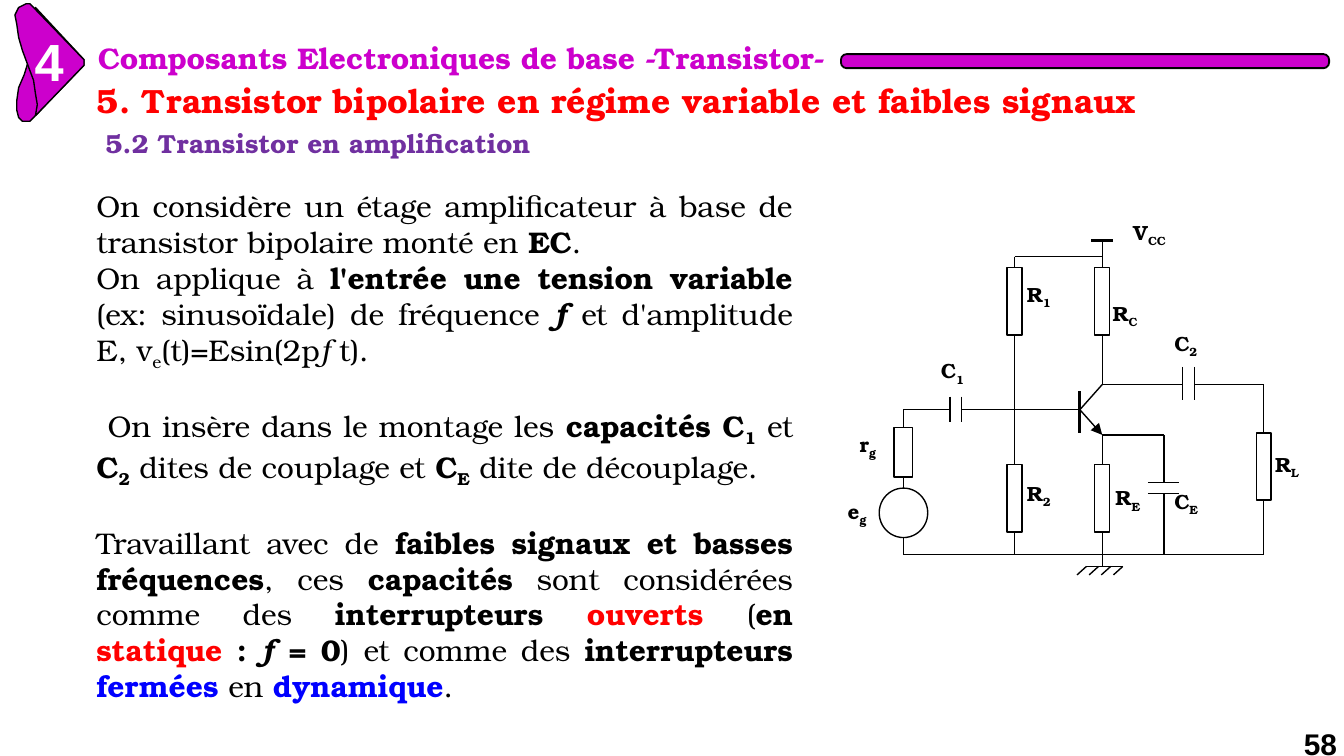
from lxml import etree
from pptx import Presentation
from pptx.dml.color import RGBColor
from pptx.enum.shapes import MSO_CONNECTOR, MSO_SHAPE
from pptx.enum.text import MSO_ANCHOR, PP_ALIGN
from pptx.oxml.ns import qn
from pptx.util import Pt

LINE = MSO_CONNECTOR.STRAIGHT
RECT, OVAL, ROUND = MSO_SHAPE.RECTANGLE, MSO_SHAPE.OVAL, MSO_SHAPE.ROUNDED_RECTANGLE
TOP = MSO_ANCHOR.TOP
LEFT, JUST = PP_ALIGN.LEFT, PP_ALIGN.JUSTIFY
SERIF, SANS = "TeX Gyre Bonum", "Arial"
PINK, BLACK, WHITE = "CC00CC", "000000", "FFFFFF"
TINTS = {"r": "FF0000", "u": "0000FF"}
rgb = RGBColor.from_string

prs = Presentation()
prs.slide_width, prs.slide_height = Pt(720), Pt(405)
slide = prs.slides.add_slide(prs.slide_layouts[6])
shapes = slide.shapes


def add_runs(par, runs, size):
    """Style letters: b bold, i italic, s subscript, r red, u blue."""
    for text, style in runs:
        run = par.add_run()
        run.text = text
        font = run.font
        font.name, font.size = SERIF, Pt(size)
        font.bold, font.italic = "b" in style, "i" in style
        tint = next((TINTS[key] for key in style if key in TINTS), BLACK)
        font.color.rgb = rgb(tint)
        if "s" in style:
            run._r.get_or_add_rPr().set("baseline", "-25000")


def paint(shape, fill, line, width=0.75):
    shape.shadow.inherit = False
    shape.fill.solid()
    shape.fill.fore_color.rgb = rgb(fill)
    shape.line.color.rgb = rgb(line)
    shape.line.width = Pt(width)


# Chapter badge: back lobe, then front lobe
tip = [(44.6, 35.3), (45.4, 33.4), (44.6, 31.7)]
back = [(18.7, 4.3), (20.2, 7.2), (20.2, 13), (18.7, 20.2), (16.6, 27.4),
        (13, 39.6), (10.1, 46.8), (8.6, 54), (8.6, 59), (10.1, 63.4),
        (12.2, 64.8), (15.8, 64.8), (18, 63.4)]
front = [(15.8, 2.2), (13.7, 2.2), (10.1, 3.6), (7.9, 7.9), (8.6, 13),
         (10.1, 20.2), (12.2, 27.4), (15.1, 35.3), (18, 43.2), (19.4, 50.4),
         (20.2, 56.2), (18.7, 62)]
for lobe, close in ((back, []), (front, [(18, 3.6)])):
    pts = lobe + tip + close
    form = shapes.build_freeform(*pts[0], scale=Pt(1))
    form.add_line_segments(pts[1:], close=True)
    paint(form.convert_to_shape(), PINK, BLACK)

# Bar beside the title
bar = shapes.add_shape(ROUND, Pt(450.5), Pt(29), Pt(261.5), Pt(7.5))
bar.adjustments[0] = 0.4
paint(bar, PINK, BLACK, 1)

# Headings, badge number and page number: no insets
heads = [
    ("Composants Electroniques de base -Transistor-", 52.5, 21, 396, 24, 16, SERIF, PINK),
    ("4", 18.5, 15.5, 18, 33, 28, SANS, WHITE),
    ("5. Transistor bipolaire en régime variable et faibles signaux",
     52, 43, 590, 24, 18, SERIF, "FF0000"),
    ("5.2 Transistor en amplification", 56.5, 68, 620, 20, 14, SERIF, "7030A0"),
    ("58", 698.5, 389, 21, 18, 16, SANS, BLACK),
]
for text, x, y, w, h, size, name, tint in heads:
    box = shapes.add_textbox(Pt(x), Pt(y), Pt(w), Pt(h))
    frame = box.text_frame
    frame.margin_left = frame.margin_right = frame.margin_top = frame.margin_bottom = 0
    frame.word_wrap = True
    frame.text = text
    font = frame.paragraphs[0].runs[0].font
    font.name, font.size, font.bold = name, Pt(size), True
    font.color.rgb = rgb(tint)

# Circuit labels
labels = [
    ("e", "g", 447, 264), ("r", "g", 453.5, 228), ("C", "E", 622, 258.5),
    ("C", "1", 497, 188.5), ("C", "2", 622, 174), ("R", "L", 676, 238.5),
    ("R", "2", 543, 254), ("R", "E", 590.5, 256.5), ("R", "1", 543, 147.5),
    ("R", "C", 589, 157.5), ("V", "CC", 600, 114.5),
]
for base, sub, x, y in labels:
    label = shapes.add_shape(RECT, Pt(x), Pt(y), Pt(42 if sub == "CC" else 36), Pt(22))
    paint(label, WHITE, WHITE)
    label.text_frame.vertical_anchor = TOP
    par = label.text_frame.paragraphs[0]
    par.alignment = LEFT
    add_runs(par, [(base, "b"), (sub, "bs")], 11)

# Circuit columns (x) and rows (y)
gen, div, base, coll, dec, load = 484, 543.5, 578.5, 590.5, 623.5, 677
feed, out, mid, emit, low, earth = 137.5, 206, 219.5, 233, 297, 303.5

wires = [
    (gen, mid, 509, mid), (515, mid, base, mid), (gen, mid, gen, low),
    (div, feed, div, low), (div, feed, coll, feed), (coll, 129, coll, out),
    (coll, out, 633.5, out), (640, out, load, out), (load, out, load, low),
    (coll, emit, coll, earth), (coll, emit, dec, emit), (dec, emit, dec, 258.5),
    (dec, 264.5, dec, low), (gen, low, load, low),
    (base, mid, coll, out),
    (582, earth, 601.5, earth),
]
# Capacitor plates and earth hatching
wires += [(x, 212.5, x, 226) for x in (509, 515)]
wires += [(x, 196.5, x, 214.5) for x in (633.5, 640)]
wires += [(615, y, 631.5, y) for y in (258.5, 264.5)]
wires += [(582 + 6.5 * n, earth, 577 + 6.5 * n, 308) for n in range(4)]
# Supply bar, transistor base and emitter arrow
heavy = [(584.5, 129, 596, 129), (base, 209.5, base, 232)]
arrow = (base, mid, coll, emit)
for ends in wires + heavy + [arrow]:
    wire = shapes.add_connector(LINE, *[Pt(v) for v in ends])
    wire.line.color.rgb = rgb(BLACK)
    wire.line.width = Pt(1.5 if ends in heavy else 0.75)
    if ends == arrow:
        etree.SubElement(wire.line._get_or_add_ln(), qn("a:tailEnd"), type="triangle")
    etree.SubElement(wire._element.spPr, qn("a:effectLst"))

# Resistors and generator, centred on their wires
parts = [(RECT, x, y, 8, 36) for x, y in
         ((coll, 143.5), (div, 143.5), (div, 249), (coll, 249), (load, 232))]
parts += [(RECT, gen, 229, 10, 26.5), (OVAL, gen, 261.5, 26, 26.5)]
for kind, x, y, w, h in parts:
    part = shapes.add_shape(kind, Pt(x - w / 2), Pt(y), Pt(w), Pt(h))
    paint(part, WHITE, BLACK)

# Explanation: space before, first-line indent, runs
body = [
    (0, 0, [("On considère un étage amplificateur à base de transistor bipolaire monté en ", ""),
            ("EC", "b"), (".", "")]),
    (0, 0, [("On applique à ", ""), ("l'entrée une tension variable ", "b"),
            ("(ex: sinusoïdale) de fréquence ", ""), ("f", "bi"),
            (" et d'amplitude E, v", ""), ("e", "s"), ("(t)=Esin(2p", ""),
            ("f ", "i"), ("t).", "")]),
    (19, 6, [("On insère dans le montage les ", ""), ("capacités C", "b"), ("1", "bs"),
             (" et ", ""), ("C", "b"), ("2", "bs"), (" dites de couplage et ", ""),
             ("C", "b"), ("E", "bs"), (" dite de découplage.", "")]),
    (19, 0, [("Travaillant avec de ", ""), ("faibles signaux et basses fréquences", "b"),
             (", ces ", ""), ("capacités", "b"), (" sont considérées comme des ", ""),
             ("interrupteurs ", "b"), ("ouverts ", "br"), ("(", ""), ("en ", "b"),
             ("statique ", "br"), (": ", "b"), ("f", "bi"), (" = 0", "b"),
             (") et comme des ", ""), ("interrupteurs ", "b"), ("fermées", "bu"),
             (" en ", ""), ("dynamique", "bu"), (".", "")]),
]
frame = shapes.add_textbox(Pt(44.6), Pt(97.2), Pt(387.4), Pt(278.6)).text_frame
frame.word_wrap = True
for n, (gap, indent, runs) in enumerate(body):
    par = frame.add_paragraph() if n else frame.paragraphs[0]
    par.alignment = JUST
    if gap:
        par.space_before = Pt(gap)
    if indent:
        par._p.get_or_add_pPr().set("indent", str(Pt(indent)))
    add_runs(par, runs, 16)

prs.save("out.pptx")
